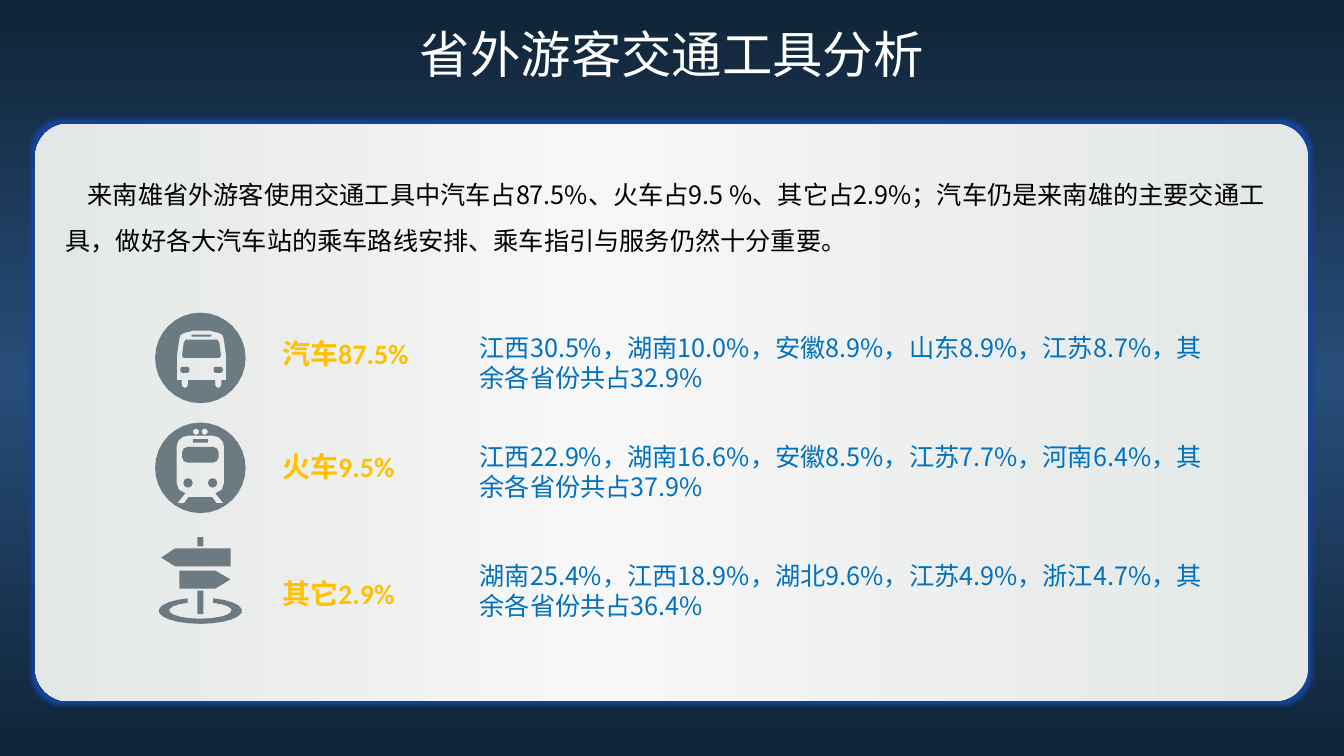
from dataclasses import dataclass
from math import cos, radians, sin

from lxml.etree import SubElement
from pptx import Presentation
from pptx.dml.color import RGBColor
from pptx.enum.shapes import MSO_SHAPE
from pptx.enum.text import MSO_ANCHOR, MSO_AUTO_SIZE as AutoSize, PP_ALIGN
from pptx.oxml.ns import qn
from pptx.util import Cm, Pt

Points = list[tuple[float, float]]

CJK = "Noto Sans CJK SC"
ICON_X = 5.05
LABEL_X, LABEL_W, LABEL_H = 6.86, 5.33, 1.12
DETAIL_X, DETAIL_W, DETAIL_H = 11.84, 19.3, 1.8


@dataclass
class Transport:
    label: str
    detail: str
    icon: list[Points]
    icon_y: float
    label_y: float
    detail_y: float


def rgb(hex_color: str) -> RGBColor:
    return RGBColor.from_string(hex_color)


def set_gradient(fill, owner, angle: float, stops: list[tuple[int, str]]) -> None:
    """Fill with any number of (percent, colour) stops; owner holds the fill's XML."""
    fill.gradient()
    fill.gradient_angle = angle
    gs_list = next(owner.iter(qn("a:gsLst")))
    for old in list(gs_list):
        gs_list.remove(old)
    for percent, color in stops:
        gs = SubElement(gs_list, qn("a:gs"), pos=str(percent * 1000))
        SubElement(gs, qn("a:srgbClr"), val=color)


def write(tf, text: str, *, size: float, color: str, font: str = CJK,
          bold: bool = False, align=PP_ALIGN.LEFT, spacing: float = 1.0,
          indent: float = 0, auto_size=AutoSize.SHAPE_TO_FIT_TEXT) -> None:
    tf.word_wrap = True
    tf.auto_size = auto_size
    p = tf.paragraphs[0]
    p.alignment, p.line_spacing = align, spacing
    if indent:
        p._p.get_or_add_pPr().set("indent", str(Cm(indent)))
    r = p.add_run()
    r.text = text
    r.font.size, r.font.bold, r.font.name = Pt(size), bold, font
    r.font.color.rgb = rgb(color)
    SubElement(r._r.get_or_add_rPr(), qn("a:ea"), typeface=CJK)


def add_text(s, x: float, y: float, w: float, h: float, text: str, **fmt) -> None:
    write(s.shapes.add_textbox(Cm(x), Cm(y), Cm(w), Cm(h)).text_frame, text, **fmt)


def arc(cx: float, cy: float, rx: float, ry: float,
        start: float, end: float, steps: int) -> Points:
    angles = [radians(start + (end - start) * i / steps) for i in range(steps + 1)]
    return [(cx + rx * cos(a), cy + ry * sin(a)) for a in angles]


def circle(cx: float, cy: float, r: float, steps: int = 8) -> Points:
    return arc(cx, cy, r, r, 0, 360, steps)[:-1]


def rectangle(cx: float, cy: float, w: float, h: float, r: float = 0) -> Points:
    dx, dy = w / 2 - r, h / 2 - r
    corners = [(dx, dy), (-dx, dy), (-dx, -dy), (dx, -dy)]
    if not r:
        return [(cx + x, cy + y) for x, y in corners]
    return [pt for i, (x, y) in enumerate(corners)
            for pt in arc(cx + x, cy + y, r, r, 90 * i, 90 * i + 90, 2)]


def mirrored(right_half: Points, cx: float = 0) -> Points:
    return [(cx + x, y) for x, y in right_half] + [(cx - x, y) for x, y in reversed(right_half)]


def bus_icon() -> list[Points]:
    body = [(0.2, -0.69), (0.43, -0.63), (0.53, -0.58), (0.56, -0.48),
            (0.62, -0.05), (0.62, 0.56), (0.5, 0.56), *arc(0.42, 0.66, 0.08, 0.1, 0, 180, 4),
            (0.34, 0.56)]
    window = [(0.4, -0.46), (0.45, -0.38), (0.49, -0.05), (0.45, 0)]
    lights = [rectangle(x, 0.3, 0.23, 0.15, 0.05) for x in (-0.39, 0.45)]
    return [circle(0, 0, 1.14, 32), mirrored(body, 0.03), mirrored(window, 0.03),
            rectangle(0.03, -0.56, 0.5, 0.05), *lights]


def train_icon() -> list[Points]:
    body = [*arc(0.32, -0.53, 0.28, 0.28, -90, 0, 3), (0.6, 0.38), (0.54, 0.55),
            (0.38, 0.64), (0.58, 0.89), (0.41, 0.89), (0.3, 0.74)]
    lamps = [circle(x, 0.38, 0.12) for x in (-0.31, 0.31)]
    bulbs = [circle(x, -0.91, 0.08) for x in (-0.11, 0.11)]
    return [circle(0, 0, 1.14, 32), mirrored(body), rectangle(0, -0.33, 0.92, 0.4, 0.14),
            rectangle(0, -0.68, 0.38, 0.09), *lamps, *bulbs]


def signpost_icon() -> list[Points]:
    left_board = [(0.76, -0.36), (0.76, -0.81), (-0.64, -0.81), (-0.99, -0.58), (-0.64, -0.36)]
    right_board = [(0.76, -0.03), (0.38, -0.25), (-0.53, -0.25), (-0.53, 0.2), (0.38, 0.2)]
    ring = arc(0, 0.76, 1.05, 0.33, -72, 252, 20) + arc(0, 0.75, 0.79, 0.21, 246, -66, 16)
    return [left_board, right_board, ring,
            rectangle(0, -0.98, 0.15, 0.23), rectangle(0, 0.55, 0.15, 0.59)]


def add_icon(s, cx: float, cy: float, contours: list[Points]) -> None:
    placed = [[(Cm(cx + x), Cm(cy + y)) for x, y in pts] for pts in contours]
    builder = s.shapes.build_freeform(*placed[0][0])
    for i, pts in enumerate(placed):
        if i:
            builder.move_to(*pts[0])
        builder.add_line_segments(pts[1:], close=True)
    icon = builder.convert_to_shape()
    icon.shadow.inherit = False
    icon.fill.solid()
    icon.fill.fore_color.rgb = rgb("6C7A81")
    icon.line.fill.background()


def add_panel(s) -> None:
    panel = s.shapes.add_shape(MSO_SHAPE.ROUNDED_RECTANGLE, Cm(0.89), Cm(3.12), Cm(32.08), Cm(14.55))
    panel.adjustments[0] = 0.058
    set_gradient(panel.fill, panel.element, 180,
                 [(0, "E3E7E5"), (1, "E3E7E5"), (56, "F7F7F7"), (100, "E3E7E5")])
    panel.line.fill.background()
    panel.shadow.inherit = False
    effects = next(panel.element.iter(qn("a:effectLst")))
    glow = SubElement(effects, qn("a:glow"), rad=str(Pt(5)))
    SubElement(glow, qn("a:srgbClr"), val="13459A")


TRANSPORTS = [
    Transport("汽车87.5%", "江西30.5%，湖南10.0%，安徽8.9%，山东8.9%，江苏8.7%，其余各省份共占32.9%",
              bus_icon(), 9.02, 8.36, 8.24),
    Transport("火车9.5%", "江西22.9%，湖南16.6%，安徽8.5%，江苏7.7%，河南6.4%，其余各省份共占37.9%",
              train_icon(), 11.79, 11.2, 11),
    Transport("其它2.9%", "湖南25.4%，江西18.9%，湖北9.6%，江苏4.9%，浙江4.7%，其余各省份共占36.4%",
              signpost_icon(), 14.63, 14.4, 14),
]


def main() -> None:
    prs = Presentation()
    prs.slide_width, prs.slide_height = Cm(33.87), Cm(19.05)
    s = prs.slides.add_slide(prs.slide_layouts[5])
    set_gradient(s.background.fill, s.element, 90,
                 [(0, "0F2437"), (50, "284D7A"), (100, "0F2437")])

    title = s.shapes.title
    title.left, title.top, title.width, title.height = Cm(4.37), Cm(0.64), Cm(25.12), Cm(1.6)
    title.text_frame.vertical_anchor = MSO_ANCHOR.MIDDLE
    write(title.text_frame, "省外游客交通工具分析", size=36, color="FFFFFF",
          align=PP_ALIGN.CENTER, spacing=0.9, auto_size=AutoSize.NONE)

    add_panel(s)
    add_text(s, 1.4, 4.02, 30.78, 2.57,
             "来南雄省外游客使用交通工具中汽车占87.5%、火车占9.5 %、其它占2.9%；"
             "汽车仍是来南雄的主要交通工具，做好各大汽车站的乘车路线安排、乘车指引与服务仍然十分重要。",
             size=18, color="000000", spacing=1.5, indent=0.56)
    for t in TRANSPORTS:
        add_icon(s, ICON_X, t.icon_y, t.icon)
        add_text(s, LABEL_X, t.label_y, LABEL_W, LABEL_H, t.label,
                 size=20, color="FFC000", font="Calibri", bold=True)
        add_text(s, DETAIL_X, t.detail_y, DETAIL_W, DETAIL_H, t.detail, size=18, color="0070C0")
    prs.save("out.pptx")


if __name__ == "__main__":
    main()
